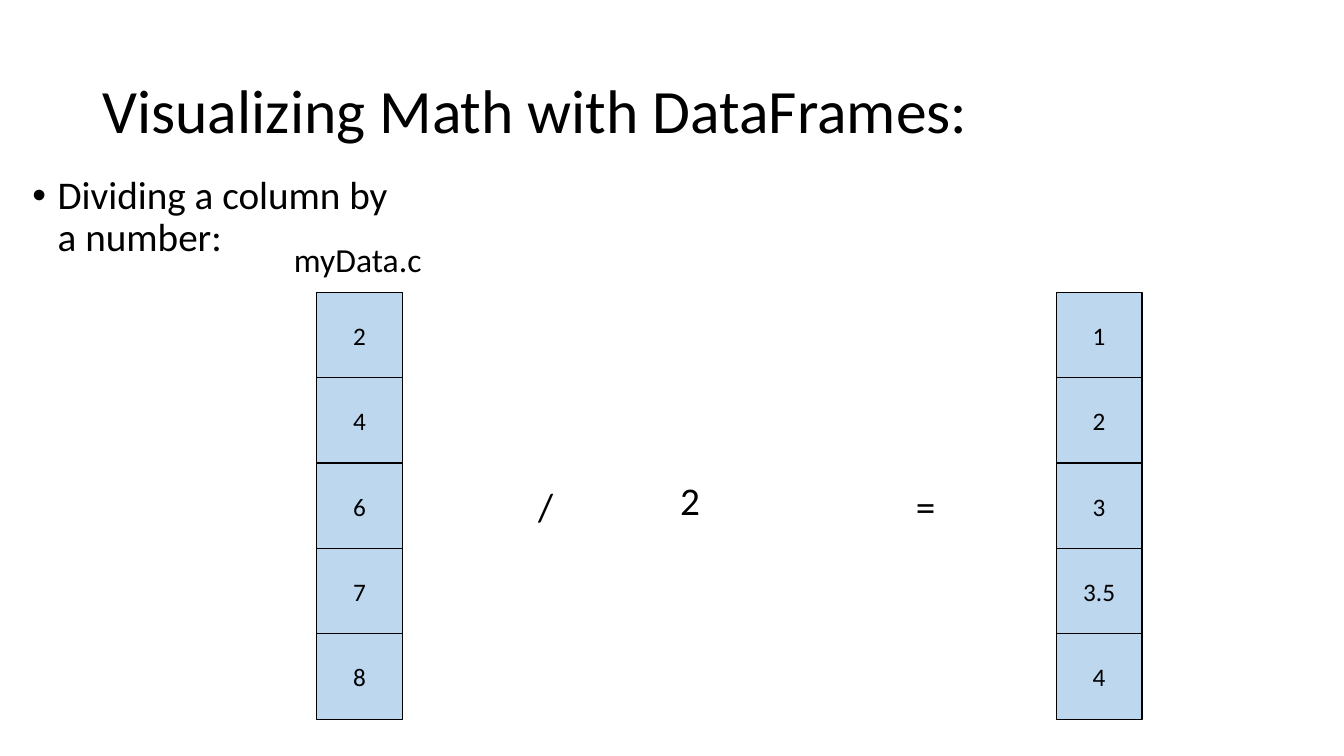
from pptx import Presentation
from pptx import util as u
from pptx.dml.color import RGBColor
from pptx.enum import shapes, text


def rgb(color):
    return RGBColor.from_string(color)


class DivisionSlide:
    font = "Calibri"
    ink = "000000"
    cell_fill = "BDD7EE"
    cell_size = 2.16
    cell_pitch = 2.15

    def __init__(self, deck):
        self.slide = deck.slides.add_slide(deck.slide_layouts[1])

    def set_words(self, frame, content, size, align=text.PP_ALIGN.LEFT):
        frame.text = content
        paragraph = frame.paragraphs[0]
        paragraph.alignment = align
        for run in paragraph.runs:
            run.font.name = self.font
            run.font.size = u.Pt(size)
            run.font.color.rgb = rgb(self.ink)
        return paragraph

    def place(self, holder, left, top, width, height, anchor):
        holder.left, holder.top = u.Cm(left), u.Cm(top)
        holder.width, holder.height = u.Cm(width), u.Cm(height)
        holder.text_frame.auto_size = text.MSO_AUTO_SIZE.NONE
        holder.text_frame.vertical_anchor = anchor

    def title(self, content):
        heading = self.slide.shapes.title
        self.place(heading, 2.33, 1.01, 29.21, 3.68, text.MSO_ANCHOR.MIDDLE)
        self.set_words(heading.text_frame, content, 44).line_spacing = 0.9

    def bullet(self, content):
        body = self.slide.placeholders[1]
        self.place(body, 0.56, 4.3, 9.93, 12.09, text.MSO_ANCHOR.TOP)
        item = self.set_words(body.text_frame, content, 28)
        item.line_spacing = 0.9
        item.space_before = u.Pt(10)
        properties = item._p.get_or_add_pPr()
        indent = u.Cm(0.64)
        properties.set("marL", str(indent))
        properties.set("indent", str(-indent))

    def label(self, content, left, top, width, height, size=28):
        box = self.slide.shapes.add_textbox(
            u.Cm(left), u.Cm(top), u.Cm(width), u.Cm(height))
        box.text_frame.word_wrap = False
        box.text_frame.auto_size = text.MSO_AUTO_SIZE.SHAPE_TO_FIT_TEXT
        self.set_words(box.text_frame, content, size)

    def column(self, values, left, top=7.37):
        for row, value in enumerate(values):
            cell = self.slide.shapes.add_shape(
                shapes.MSO_SHAPE.FLOWCHART_PROCESS,
                u.Cm(left), u.Cm(top + row * self.cell_pitch),
                u.Cm(self.cell_size), u.Cm(self.cell_size))
            cell.shadow.inherit = False
            cell.fill.solid()
            cell.fill.fore_color.rgb = rgb(self.cell_fill)
            cell.line.color.rgb = rgb(self.ink)
            cell.line.width = u.Pt(1)
            cell.text_frame.vertical_anchor = text.MSO_ANCHOR.MIDDLE
            self.set_words(cell.text_frame, value, 18, text.PP_ALIGN.CENTER)


def main():
    deck = Presentation()
    deck.slide_width, deck.slide_height = u.Cm(33.87), u.Cm(19.05)
    division = DivisionSlide(deck)
    division.title("Visualizing Math with DataFrames:")
    division.bullet("Dividing a column by a number:")
    division.column(["2", "4", "6", "7", "8"], left=7.98)
    division.label("myData.c", 7.16, 5.89, 3.76, 1.28, size=24)
    division.label("2", 16.89, 11.89, 1.02, 1.45)
    division.label("/", 13.31, 12.04, 0.89, 1.45)
    division.label("=", 22.83, 12.04, 1.02, 1.45)
    division.column(["1", "2", "3", "3.5", "4"], left=26.62)
    deck.save("out.pptx")


if __name__ == "__main__":
    main()
